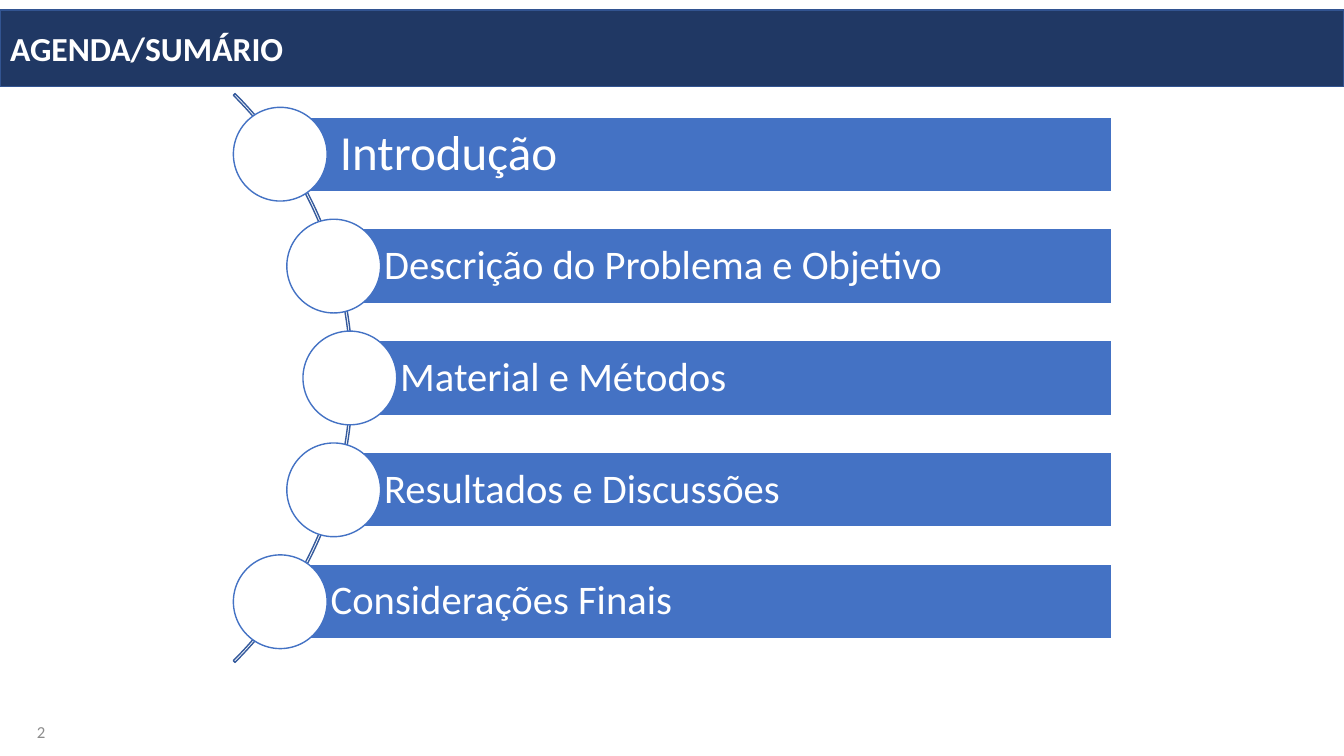
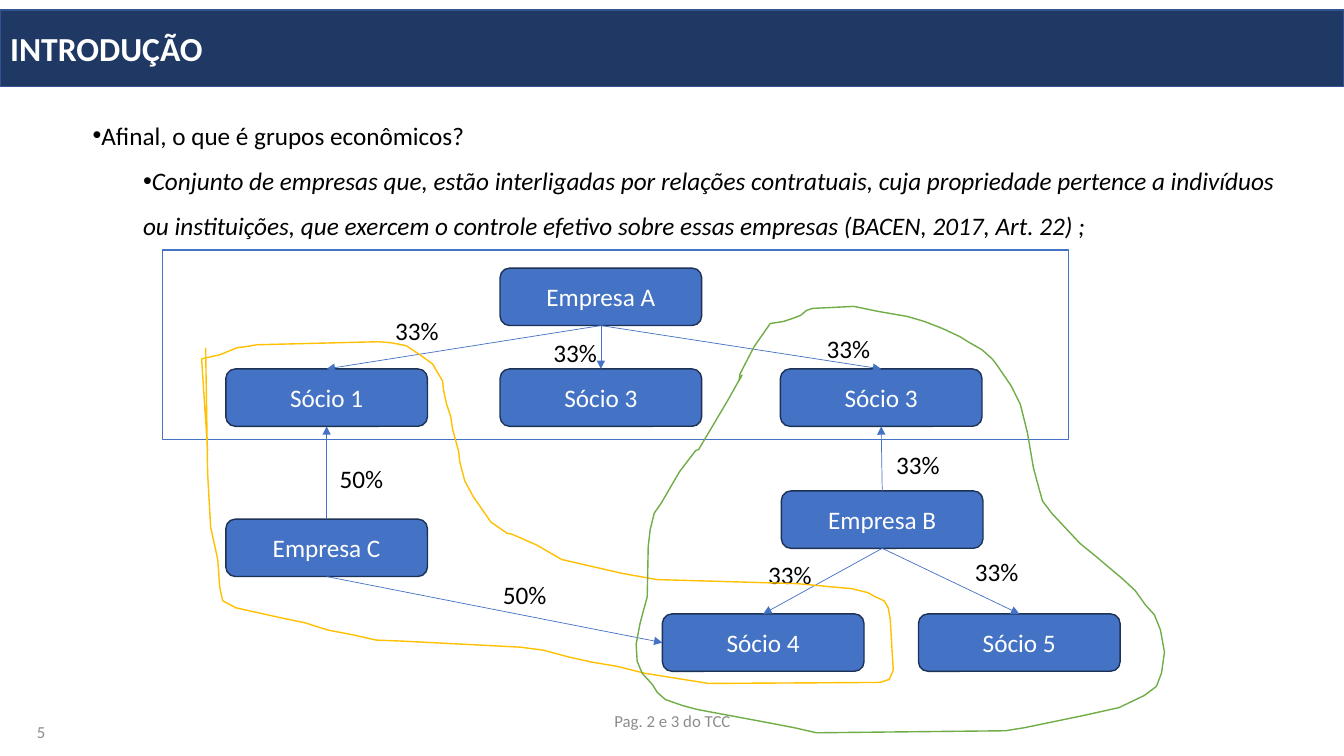
import pptx
import pptx.dml.color
import pptx.enum.shapes
import pptx.enum.text
import pptx.oxml
import pptx.oxml.ns
import pptx.util

Inches = pptx.util.Inches
Pt = pptx.util.Pt
SHAPE = pptx.enum.shapes.MSO_SHAPE
ALIGN = pptx.enum.text.PP_ALIGN
ANCHOR = pptx.enum.text.MSO_ANCHOR

FONT = "Calibri"
NAVY, NAVY_EDGE = "203864", "325491"
BLUE, BLUE_EDGE, ARC_EDGE = "4472C4", "1E3256", "365B9D"
YELLOW, GREEN = "FFC000", "70AD47"
WHITE, BLACK, GRAY = "FFFFFF", "000000", "8C8C8C"


def color(value):
    return pptx.dml.color.RGBColor.from_string(value)


def write(shape, text, size, ink, align=ALIGN.LEFT, anchor=ANCHOR.MIDDLE, wrap=True):
    """Fill the shape with text, one paragraph a line, in one style."""
    frame = shape.text_frame
    frame.text = text
    frame.word_wrap = wrap
    frame.auto_size = pptx.enum.text.MSO_AUTO_SIZE.NONE
    frame.vertical_anchor = anchor
    for para in frame.paragraphs:
        para.alignment = align
        for span in para.runs:
            span.font.name = FONT
            span.font.size = Pt(size)
            span.font.color.rgb = color(ink)


deck = pptx.Presentation()
deck.slide_width, deck.slide_height = Inches(13.33), Inches(7.5)

# Title band and page number shared by all slides
pages = []
for title, number in [("AGENDA/SUMÁRIO", "2"), ("INTRODUÇÃO", "5")]:
    page = deck.slides.add_slide(deck.slide_layouts[5])
    band = page.shapes.title
    band.left, band.top = Inches(0), Inches(0.1)
    band.width, band.height = Inches(13.33), Inches(0.76)
    band.fill.solid()
    band.fill.fore_color.rgb = color(NAVY)
    band.line.color.rgb = color(NAVY_EDGE)
    band.line.width = Pt(1)
    write(band, title, 24, WHITE)
    band.text_frame.paragraphs[0].runs[0].font.bold = True
    box = page.shapes.add_textbox(Inches(0.08), Inches(7.06), Inches(0.47), Inches(0.4))
    write(box, number, 12, GRAY, ALIGN.RIGHT)
    pages.append(page)
agenda, intro = pages

# Agenda: bars strung along an arc
arc = agenda.shapes.add_shape(
    SHAPE.BLOCK_ARC, Inches(-4.48), Inches(-0.24), Inches(7.98), Inches(7.98))
arc.adjustments[0], arc.adjustments[1], arc.adjustments[2] = 189, 27, 0.003
arc.shadow.inherit = False
arc.fill.background()
arc.line.color.rgb = color(ARC_EDGE)
arc.line.width = Pt(1)

BAR_RIGHT, BAR_HEIGHT, BAR_STEP, CIRCLE = 11.03, 0.74, 1.11, 0.93
topics = [
    ("Introdução", 2.78, 35, 0.59),
    ("Descrição do Problema e Objetivo", 3.31, 29, 0.5),
    ("Material e Métodos", 3.47, 29, 0.5),
    ("Resultados e Discussões", 3.31, 29, 0.5),
    ("Considerações Finais", 2.78, 29, 0.5),
]
for index, (topic, left, size, inset) in enumerate(topics):
    middle = 1.53 + index * BAR_STEP
    bar = agenda.shapes.add_shape(
        SHAPE.RECTANGLE, Inches(left), Inches(middle - BAR_HEIGHT / 2),
        Inches(BAR_RIGHT - left), Inches(BAR_HEIGHT))
    circle = agenda.shapes.add_shape(
        SHAPE.OVAL, Inches(left - CIRCLE / 2), Inches(middle - CIRCLE / 2),
        Inches(CIRCLE), Inches(CIRCLE))
    for shape, fill, edge in [(bar, BLUE, WHITE), (circle, WHITE, BLUE)]:
        shape.shadow.inherit = False
        shape.fill.solid()
        shape.fill.fore_color.rgb = color(fill)
        shape.line.color.rgb = color(edge)
        shape.line.width = Pt(1)
    write(bar, topic, size, WHITE)
    bar.text_frame.margin_left = Inches(inset)
    bar.text_frame.paragraphs[0].line_spacing = 0.9

# Introduction: definition and footer
body = intro.shapes.add_textbox(Inches(0.32), Inches(0.99), Inches(12.55), Inches(1.49))
write(body, "Afinal, o que é grupos econômicos?\n"
      "Conjunto de empresas que, estão interligadas por relações contratuais, cuja "
      "propriedade pertence a indivíduos ou instituições, que exercem o controle efetivo "
      "sobre essas empresas (BACEN, 2017, Art. 22) ;", 18, BLACK, anchor=ANCHOR.TOP)
for level, para in enumerate(body.text_frame.paragraphs):
    para.level = level
    para.line_spacing = 1.5
    properties = para._p.get_or_add_pPr()
    properties.set("marL", str(Inches(0.5 * (level + 1))))
    properties.set("indent", "0")
    for xml in ('<a:buFont %s typeface="Arial"/>', '<a:buChar %s char="•"/>'):
        properties.append(pptx.oxml.parse_xml(xml % pptx.oxml.ns.nsdecls("a")))
    para.runs[0].font.italic = level == 1

footer = intro.shapes.add_textbox(Inches(4.42), Inches(6.95), Inches(4.5), Inches(0.4))
write(footer, "Pag. 2 e 3 do TCC", 12, GRAY, ALIGN.CENTER)

# Introduction: ownership diagram
nodes = {}
for key, text, left, top in [
    ("company a", "Empresa A", 4.96, 2.66),
    ("partner 1", "Sócio 1", 2.24, 3.66),
    ("partner 2", "Sócio 3", 4.96, 3.66),
    ("partner 3", "Sócio 3", 7.74, 3.66),
    ("company b", "Empresa B", 7.75, 4.87),
    ("partner 4", "Sócio 4", 6.57, 6.09),
    ("partner 5", "Sócio 5", 9.11, 6.09),
    ("company c", "Empresa C", 2.24, 5.15),
]:
    node = intro.shapes.add_shape(
        SHAPE.ROUNDED_RECTANGLE, Inches(left), Inches(top), Inches(2), Inches(0.57))
    node.shadow.inherit = False
    node.fill.solid()
    node.fill.fore_color.rgb = color(BLUE)
    node.line.color.rgb = color(BLUE_EDGE)
    node.line.width = Pt(1)
    write(node, text, 18, WHITE, ALIGN.CENTER)
    nodes[key] = node

TOP, LEFT, BOTTOM = 0, 1, 2
for source, start, target, end in [
    ("company a", BOTTOM, "partner 1", TOP),
    ("company a", BOTTOM, "partner 2", TOP),
    ("company a", BOTTOM, "partner 3", TOP),
    ("company c", TOP, "partner 1", BOTTOM),
    ("company c", BOTTOM, "partner 4", LEFT),
    ("company b", BOTTOM, "partner 4", TOP),
    ("company b", BOTTOM, "partner 5", TOP),
    ("company b", TOP, "partner 3", BOTTOM),
]:
    arrow = intro.shapes.add_connector(
        pptx.enum.shapes.MSO_CONNECTOR.STRAIGHT, 0, 0, 0, 0)
    arrow.begin_connect(nodes[source], start)
    arrow.end_connect(nodes[target], end)
    arrow.line.color.rgb = color(BLUE)
    arrow.line.width = Pt(0.5)
    namespace = pptx.oxml.ns.nsdecls("a")
    arrow.line._get_or_add_ln().append(
        pptx.oxml.parse_xml('<a:tailEnd %s type="triangle"/>' % namespace))
    arrow._element.spPr.append(pptx.oxml.parse_xml("<a:effectLst %s/>" % namespace))

for share, left, top in [
    ("33%", 3.82, 3.08), ("33%", 5.39, 3.3), ("33%", 8.1, 3.26), ("33%", 8.79, 4.41),
    ("33%", 7.52, 5.5), ("33%", 9.57, 5.47), ("50%", 3.27, 4.55), ("50%", 4.89, 5.7),
]:
    label = intro.shapes.add_textbox(Inches(left), Inches(top), Inches(0.64), Inches(0.4))
    write(label, share, 18, BLACK, anchor=ANCHOR.TOP, wrap=False)

# Introduction: outlines around the economic groups
frame = intro.shapes.add_shape(
    SHAPE.RECTANGLE, Inches(1.61), Inches(2.48), Inches(8.99), Inches(1.88))
yellow_points = [
    (2.04, 3.45), (2.06, 4.7), (2.09, 5.23), (2.16, 5.55), (2.18, 5.83), (2.21, 5.96),
    (2.34, 6.03), (2.79, 6.13), (3.03, 6.18), (3.25, 6.25), (3.51, 6.3), (3.73, 6.35),
    (3.99, 6.36), (5.16, 6.42), (5.39, 6.45), (5.65, 6.52), (5.88, 6.57), (6.12, 6.61),
    (6.4, 6.68), (7.03, 6.78), (8.73, 6.77), (8.82, 6.74), (8.86, 6.65), (8.83, 6.14),
    (8.81, 6.03), (8.77, 5.96), (8.68, 5.92), (8.61, 5.88), (8.45, 5.84), (8.23, 5.82),
    (7.91, 5.79), (6.52, 5.75), (6.18, 5.69), (5.57, 5.55), (5.33, 5.41), (5.08, 5.3),
    (5.03, 5.29), (4.87, 5.18), (4.78, 5.05), (4.69, 4.92), (4.61, 4.77), (4.56, 4.58),
    (4.55, 4.48), (4.49, 4.26), (4.47, 4.13), (4.43, 4.01), (4.4, 3.87), (4.39, 3.78),
    (4.32, 3.66), (4.29, 3.61), (4.18, 3.53), (4.03, 3.43), (3.88, 3.4), (3.75, 3.39),
    (2.55, 3.42), (2.43, 3.44), (2.35, 3.45), (2.18, 3.52), (2, 3.56), (2.06, 4.47),
]
green_points = [
    (7.64, 3.21), (7.48, 3.44), (7.34, 3.71), (7.33, 3.78), (7.36, 3.72), (7.22, 3.97),
    (6.93, 4.46), (6.9, 4.47), (6.74, 4.68), (6.56, 4.99), (6.49, 5.09), (6.45, 5.25),
    (6.43, 5.42), (6.42, 5.92), (6.35, 6.18), (6.31, 6.39), (6.32, 6.56), (6.37, 6.68),
    (6.47, 6.79), (6.52, 6.87), (6.6, 6.94), (6.77, 7), (6.92, 7.04), (7.62, 7.17),
    (7.88, 7.22), (8.1, 7.27), (9.97, 7.25), (10.16, 7.22), (10.74, 7.1), (11.1, 7.02),
    (11.35, 6.9), (11.47, 6.81), (11.52, 6.68), (11.55, 6.47), (11.51, 6.25),
    (11.45, 6.1), (11.36, 6), (11.26, 5.86), (11.13, 5.74), (10.87, 5.52),
    (10.71, 5.39), (10.43, 5.09), (10.34, 4.97), (10.29, 4.79), (10.25, 4.64),
    (10.19, 4.29), (10.16, 4.17), (10.12, 4.01), (10.03, 3.83), (9.88, 3.61),
    (9.84, 3.56), (9.74, 3.47), (9.6, 3.39), (9.52, 3.34), (9.35, 3.26), (9.17, 3.19),
    (9, 3.14), (8.71, 3.09), (8.47, 3.04), (8.06, 3.06), (8, 3.08), (7.94, 3.13),
    (7.86, 3.16), (7.77, 3.19),
]
outlines = [(frame, BLUE)]
for points, edge, closed in [(yellow_points, YELLOW, False), (green_points, GREEN, True)]:
    corners = [(Inches(x), Inches(y)) for x, y in points]
    builder = intro.shapes.build_freeform(*corners[0])
    builder.add_line_segments(corners[1:], close=closed)
    outlines.append((builder.convert_to_shape(), edge))
for shape, edge in outlines:
    shape.shadow.inherit = False
    shape.fill.background()
    shape.line.color.rgb = color(edge)
    shape.line.width = Pt(1)

deck.save("out.pptx")
